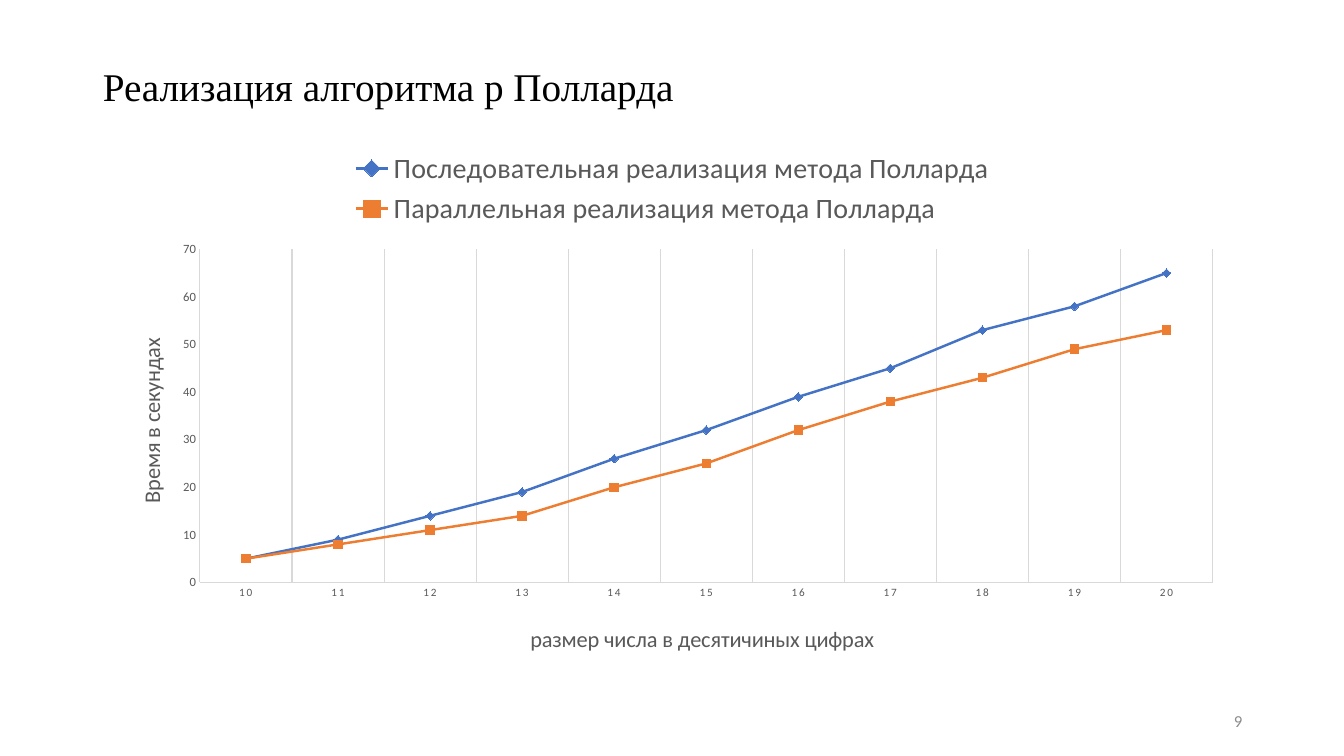
from dataclasses import dataclass

from lxml.etree import SubElement
from pptx import Presentation
from pptx.chart.data import CategoryChartData
from pptx.dml.color import RGBColor
from pptx.enum.chart import XL_CHART_TYPE as ChartType
from pptx.enum.chart import XL_LEGEND_POSITION as LegendPosition
from pptx.enum.chart import XL_MARKER_STYLE as Marker
from pptx.enum.chart import XL_TICK_MARK as TickMark
from pptx.enum.text import MSO_ANCHOR as Anchor
from pptx.enum.text import PP_ALIGN as Align
from pptx.oxml.ns import qn
from pptx.util import Inches, Pt


@dataclass(frozen=True)
class Theme:
    heading_font: str = "Times New Roman"
    body_font: str = "Calibri"
    black: str = "000000"
    label: str = "595959"
    grid: str = "D9D9D9"
    page: str = "8C8C8C"
    sequential: str = "4472C4"
    parallel: str = "ED7D31"
    title_size: int = 28
    legend_size: int = 20
    axis_title_size: int = 16
    page_size: int = 12
    chart_size: int = 10
    value_size: int = 9
    category_size: int = 8


THEME = Theme()
DIGITS = range(10, 21)
TIMINGS = (
    ("Последовательная реализация метода Полларда",
     (5, 9, 14, 19, 26, 32, 39, 45, 53, 58, 65), THEME.sequential, Marker.DIAMOND),
    ("Параллельная реализация метода Полларда",
     (5, 8, 11, 14, 20, 25, 32, 38, 43, 49, 53), THEME.parallel, Marker.SQUARE),
)


def style_font(font, size, color, face=THEME.body_font):
    font.size = Pt(size)
    font.name = face
    font.bold = False
    font.color.rgb = RGBColor.from_string(color)


def style_line(line, color, width):
    line.color.rgb = RGBColor.from_string(color)
    line.width = Pt(width)


def write_text(frame, text, *, size, color, face=THEME.body_font,
               align=None, spacing=None):
    paragraph = frame.paragraphs[0]
    paragraph.alignment = align
    paragraph.line_spacing = spacing
    run = paragraph.add_run()
    run.text = text
    style_font(run.font, size, color, face)


def place(shape, left, top, width, height):
    shape.left, shape.top = Inches(left), Inches(top)
    shape.width, shape.height = Inches(width), Inches(height)


def set_layout(element, **fractions):
    layout = element.find(qn("c:layout"))
    if layout is None:
        layout = SubElement(element, qn("c:layout"))
        element.insert(0, layout)
    manual = SubElement(layout, qn("c:manualLayout"))
    if "w" in fractions:
        SubElement(manual, qn("c:layoutTarget")).set("val", "inner")
    for mode in ("xMode", "yMode"):
        SubElement(manual, qn(f"c:{mode}")).set("val", "edge")
    for side, fraction in fractions.items():
        SubElement(manual, qn(f"c:{side}")).set("val", str(fraction))


def style_axis(axis, title, size, x, y, rotation=0):
    axis.major_tick_mark = axis.minor_tick_mark = TickMark.NONE
    style_font(axis.tick_labels.font, size, THEME.label)
    style_line(axis.format.line, THEME.grid, 0.75)
    frame = axis.axis_title.text_frame
    write_text(frame, title, size=THEME.axis_title_size, color=THEME.label)
    body = frame._txBody.find(qn("a:bodyPr"))
    body.set("rot", str(rotation * 60000))
    body.set("vert", "horz")
    set_layout(axis.axis_title._element, x=x, y=y)


def style_series(series, color, marker):
    series.smooth = False
    style_line(series.format.line, color, 1.75)
    series.marker.style = marker
    series.marker.size = 6
    series.marker.format.fill.solid()
    series.marker.format.fill.fore_color.rgb = RGBColor.from_string(color)
    style_line(series.marker.format.line, color, 0.75)


def add_title(slide, text):
    title = slide.shapes.title
    place(title, 0.92, 0.4, 11.5, 0.97)
    title.text_frame.vertical_anchor = Anchor.MIDDLE
    write_text(title.text_frame, text, size=THEME.title_size, color=THEME.black,
               face=THEME.heading_font, align=Align.LEFT, spacing=0.9)


def add_page_number(slide, number):
    page = slide.shapes.add_textbox(Inches(9.42), Inches(6.95), Inches(3), Inches(0.4))
    page.text_frame.word_wrap = True
    page.text_frame.vertical_anchor = Anchor.MIDDLE
    write_text(page.text_frame, number, size=THEME.page_size, color=THEME.page,
               align=Align.RIGHT)


def add_timing_chart(slide):
    timings = CategoryChartData()
    timings.categories = [str(digits) for digits in DIGITS]
    for name, seconds, _, _ in TIMINGS:
        timings.add_series(name, seconds)
    chart = slide.shapes.add_chart(
        ChartType.LINE_MARKERS, Inches(1.09), Inches(1.37),
        Inches(11.16), Inches(5.25), timings).chart
    chart.has_title = False
    style_font(chart.font, THEME.chart_size, THEME.black)
    chart.has_legend = True
    chart.legend.position = LegendPosition.TOP
    chart.legend.include_in_layout = False
    style_font(chart.legend.font, THEME.legend_size, THEME.label)

    chart.plots[0].vary_by_categories = False
    for series, (_, _, color, marker) in zip(chart.plots[0].series, TIMINGS):
        style_series(series, color, marker)

    size_axis, time_axis = chart.category_axis, chart.value_axis
    style_axis(size_axis, "размер числа в десятичиных цифрах",
               THEME.category_size, 0.37, 0.91)
    style_axis(time_axis, "Время в секундах", THEME.value_size, 0.02, 0.37, -90)
    for properties in size_axis._element.findall(
            f"{qn('c:txPr')}//{qn('a:defRPr')}"):
        properties.set("spc", "120")
    size_axis.has_major_gridlines = True
    style_line(size_axis.major_gridlines.format.line, THEME.grid, 0.75)
    time_axis.has_major_gridlines = False
    time_axis.minimum_scale, time_axis.maximum_scale = 0, 70
    time_axis.major_unit = 10
    plot_area = chart._chartSpace.find(f".//{qn('c:plotArea')}")
    set_layout(plot_area, x=0.08, y=0.21, w=0.9, h=0.63)


def main():
    deck = Presentation()
    deck.slide_width, deck.slide_height = Inches(13.33), Inches(7.5)
    slide = deck.slides.add_slide(deck.slide_layouts[5])
    add_title(slide, "Реализация алгоритма p Полларда")
    add_page_number(slide, "9")
    add_timing_chart(slide)
    deck.save("out.pptx")


if __name__ == "__main__":
    main()
